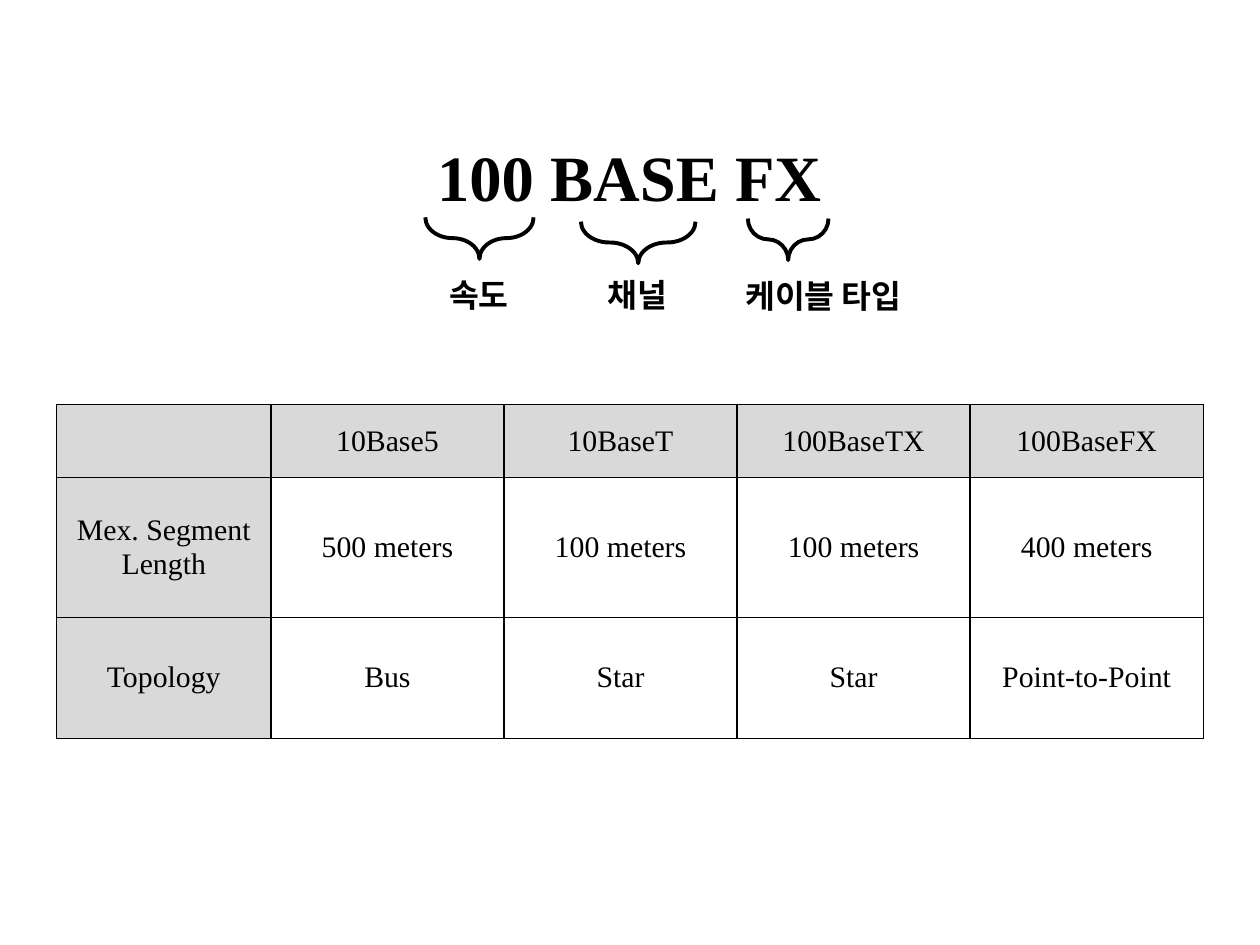
import dataclasses

import lxml.etree
import pptx
import pptx.dml.color
import pptx.enum.shapes
import pptx.enum.text
import pptx.oxml.ns
import pptx.util

Inches = pptx.util.Inches
Pt = pptx.util.Pt
qn = pptx.oxml.ns.qn
Anchor = pptx.enum.text.MSO_ANCHOR

COLORS = {"ink": "000000", "header": "D9D9D9"}
LATIN = "Times New Roman"
KOREAN = "Noto Sans CJK KR"
BRACE_DEPTH = 0.33


@dataclasses.dataclass
class NamePart:
    meaning: str
    label_left: float
    label_top: float
    label_width: float
    brace_left: float
    brace_top: float
    brace_span: float
    curl: float


NAME_PARTS = [
    NamePart("속도", 3.11, 2.22, 1.38, 3.64, 1.46, 0.86, 0.739),
    NamePart("채널", 4.37, 2.22, 1.38, 4.9, 1.47, 0.91, 0.682),
    NamePart("케이블 타입", 5.5, 2.23, 2.07, 6.09, 1.58, 0.64, 0.551),
]
STANDARDS = [
    ["", "10Base5", "10BaseT", "100BaseTX", "100BaseFX"],
    ["Mex. Segment Length", "500 meters", "100 meters", "100 meters", "400 meters"],
    ["Topology", "Bus", "Star", "Star", "Point-to-Point"],
]
COLUMN_WIDTHS = [1.7] + [1.85] * 4
ROW_HEIGHTS = [0.58, 1.11, 0.96]


def rgb(color: str) -> pptx.dml.color.RGBColor:
    return pptx.dml.color.RGBColor.from_string(COLORS[color])


def apply(target, values: dict) -> None:
    for attribute, value in values.items():
        setattr(target, attribute, value)


def write(frame, text: str, typeface: str, size: float, bold: bool,
          line_spacing: float = 1.0) -> None:
    paragraph = frame.paragraphs[0]
    apply(paragraph, {
        "alignment": pptx.enum.text.PP_ALIGN.CENTER,
        "line_spacing": line_spacing,
        "space_before": Pt(0),
    })
    run = paragraph.add_run()
    run.text = text
    apply(run.font, {"name": typeface, "size": Pt(size), "bold": bold})
    run.font.color.rgb = rgb("ink")
    latin = run.font._element.find(qn("a:latin"))
    east_asian = lxml.etree.Element(qn("a:ea"), typeface=typeface)
    latin.addnext(east_asian)


def add_title(slide) -> None:
    title = slide.shapes.title
    apply(title, {"left": Inches(0.45), "top": Inches(1.07),
                  "width": Inches(9.09), "height": Inches(0.73)})
    apply(title.text_frame, {
        "word_wrap": True,
        "auto_size": pptx.enum.text.MSO_AUTO_SIZE.NONE,
        "vertical_anchor": Anchor.MIDDLE,
    })
    write(title.text_frame, "100 BASE FX", LATIN, 36.9, True, 0.9)


def add_label(slide, part: NamePart) -> None:
    label = slide.shapes.add_textbox(
        Inches(part.label_left), Inches(part.label_top),
        Inches(part.label_width), Inches(0.73))
    apply(label.text_frame, {"word_wrap": True, "margin_top": 0,
                             "vertical_anchor": Anchor.TOP})
    write(label.text_frame, part.meaning, KOREAN, 18.5, True, 0.9)


def add_brace(slide, part: NamePart) -> None:
    brace = slide.shapes.add_shape(
        pptx.enum.shapes.MSO_SHAPE.RIGHT_BRACE,
        Inches(part.brace_left), Inches(part.brace_top),
        Inches(BRACE_DEPTH), Inches(part.brace_span))
    brace.rotation = 90
    brace.adjustments[0] = part.curl
    brace.shadow.inherit = False
    brace.fill.background()
    brace.line.color.rgb = rgb("ink")
    brace.line.width = Pt(2.25)


def add_borders(cell) -> None:
    properties = cell._tc.get_or_add_tcPr()
    for position, side in enumerate(("a:lnL", "a:lnR", "a:lnT", "a:lnB")):
        border = lxml.etree.Element(qn(side), w=str(Pt(1)))
        fill = lxml.etree.SubElement(border, qn("a:solidFill"))
        lxml.etree.SubElement(fill, qn("a:srgbClr"), val=COLORS["ink"])
        properties.insert(position, border)


def add_standards_table(slide) -> None:
    table = slide.shapes.add_table(
        len(ROW_HEIGHTS), len(COLUMN_WIDTHS), Inches(0.45), Inches(3.21),
        Inches(sum(COLUMN_WIDTHS)), Inches(sum(ROW_HEIGHTS))).table
    apply(table, {"first_row": False, "horz_banding": False})
    for column, width in zip(table.columns, COLUMN_WIDTHS):
        column.width = Inches(width)
    for row, height in zip(table.rows, ROW_HEIGHTS):
        row.height = Inches(height)
    for row_index, entries in enumerate(STANDARDS):
        for column_index, entry in enumerate(entries):
            cell = table.cell(row_index, column_index)
            apply(cell, {
                "vertical_anchor": Anchor.MIDDLE,
                "margin_left": Inches(0.09), "margin_right": Inches(0.09),
                "margin_top": Inches(0.05), "margin_bottom": Inches(0.05),
            })
            if row_index == 0 or column_index == 0:
                cell.fill.solid()
                cell.fill.fore_color.rgb = rgb("header")
            else:
                cell.fill.background()
            add_borders(cell)
            if entry:
                write(cell.text_frame, entry, LATIN, 17, False)


def main() -> None:
    presentation = pptx.Presentation()
    apply(presentation, {"slide_width": Inches(10), "slide_height": Inches(7.5)})
    slide = presentation.slides.add_slide(presentation.slide_layouts[5])
    add_title(slide)
    for part in NAME_PARTS:
        add_label(slide, part)
    for part in NAME_PARTS:
        add_brace(slide, part)
    add_standards_table(slide)
    presentation.save("out.pptx")


if __name__ == "__main__":
    main()
